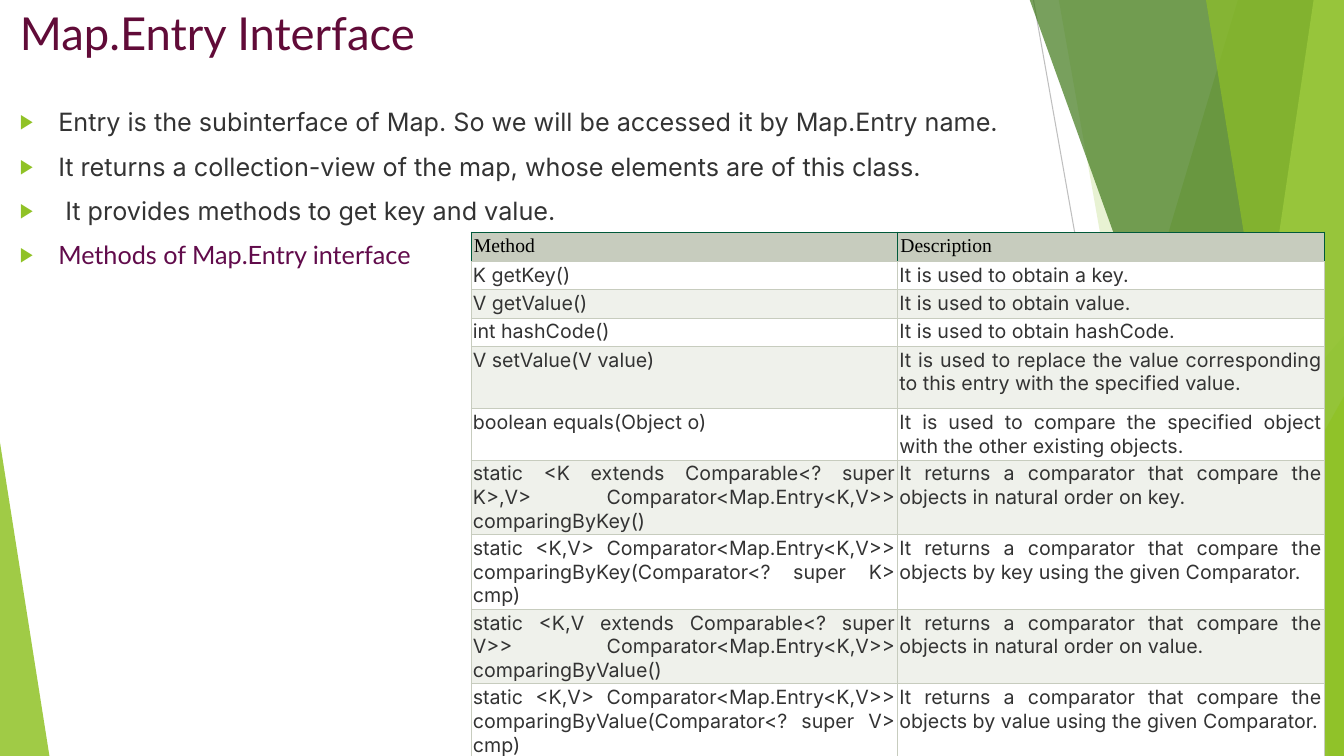
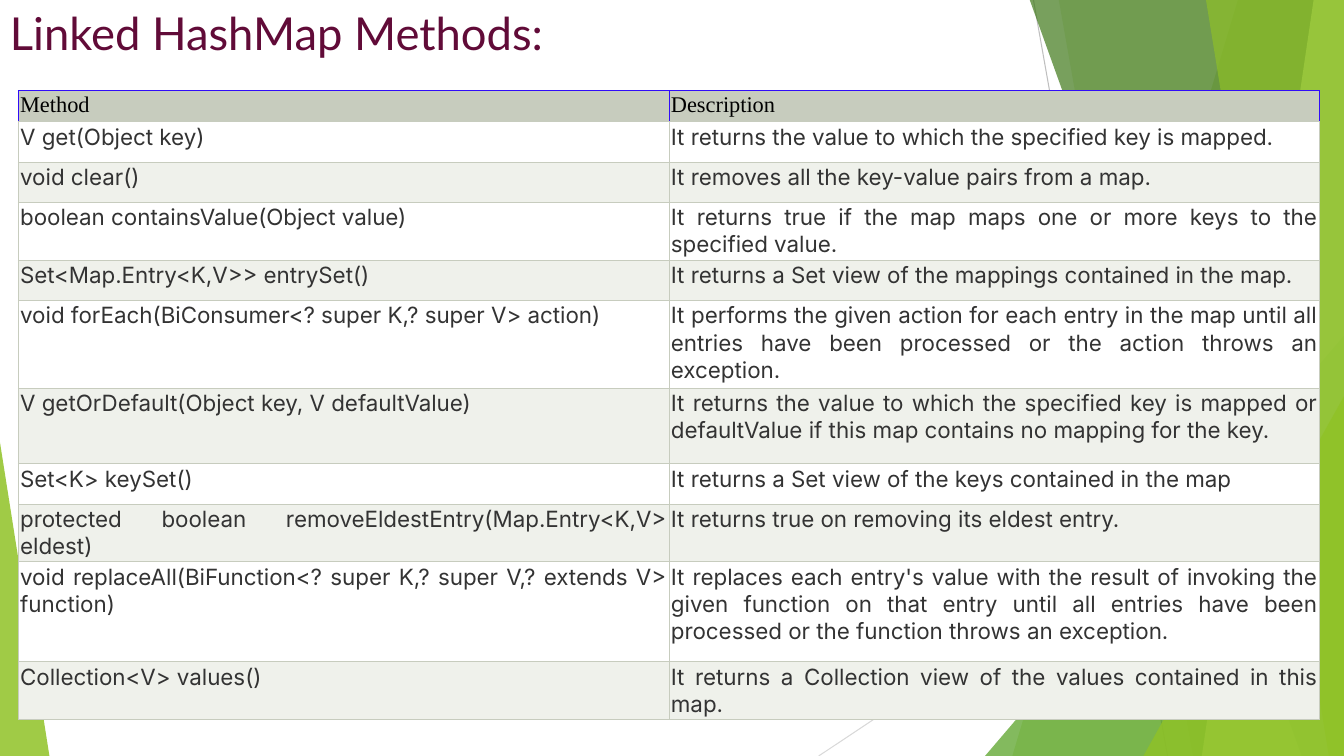
from lxml import etree
from pptx import Presentation
from pptx import util as u
from pptx.dml.color import RGBColor
from pptx.enum import shapes, text
from pptx.oxml import ns

PX = 9144
WIDTH, HEIGHT = 1333, 750
COLORS = {
    "title": "610B38", "subtitle": "610B4B", "body": "333333", "header_text": "000000",
    "header": "C7CCBE", "white": "FFFFFF", "band": "EFF1EB",
    "header_green": "00593A", "header_blue": "300CF9",
    "line_dark": "BFBFBF", "line_light": "D9D9D9",
    "lime": "90C226", "green": "54A021", "forest": "3F7819", "pale": "C0E474",
}
FONTS = {"title": "Lato", "body": "Inter", "header": "Times New Roman"}

RAYS = [
    ((1025, 0), (1158, 750), "line_dark"),
    ((1333, 403), (812, 750), "line_light"),
]
FACETS = [
    ("band", (1228, 1004), "lime", 30),
    ("band", (1050, 1183), "lime", 20),
    ("triangle", (977, 333, 356, 417, 1), "green", 72),
    ("band", (1021, 1291), "forest", 70),
    ("band", (1303, 1192), "pale", 70),
    ("band", (1196, 1318), "lime", 65),
    ("triangle", (1134, 393, 199, 357, 1), "lime", 80),
    ("triangle", (0, 439, 49, 311, 0), "lime", 85),
]

ENTRY_BULLETS = [
    ("Entry is the subinterface of Map. So we will be accessed it by Map.Entry name.", "body", "body"),
    ("It returns a collection-view of the map, whose elements are of this class.", "body", "body"),
    (" It provides methods to get key and value.", "body", "body"),
    ("Methods of Map.Entry interface", "title", "subtitle"),
]
ENTRY_METHODS = [
    (27, "Method", "Description"),
    (28, "K getKey()", "It is used to obtain a key."),
    (28, "V getValue()", "It is used to obtain value."),
    (28, "int hashCode()", "It is used to obtain hashCode."),
    (62, "V setValue(V value)",
     "It is used to replace the value corresponding to this entry with the specified value."),
    (51, "boolean equals(Object o)",
     "It is used to compare the specified object with the other existing objects."),
    (74, "static <K extends Comparable<? super K>,V> Comparator<Map.Entry<K,V>> comparingByKey()",
     "It returns a comparator that compare the objects in natural order on key."),
    (74, "static <K,V> Comparator<Map.Entry<K,V>> comparingByKey(Comparator<? super K> cmp)",
     "It returns a comparator that compare the objects by key using the given Comparator."),
    (74, "static <K,V extends Comparable<? super V>> Comparator<Map.Entry<K,V>> comparingByValue()",
     "It returns a comparator that compare the objects in natural order on value."),
    (74, "static <K,V> Comparator<Map.Entry<K,V>> comparingByValue(Comparator<? super V> cmp)",
     "It returns a comparator that compare the objects by value using the given Comparator."),
]
LINKED_METHODS = [
    (30, "Method", "Description"),
    (40, "V get(Object key)", "It returns the value to which the specified key is mapped."),
    (40, "void clear()", "It removes all the key-value pairs from a map."),
    (57, "boolean containsValue(Object value)",
     "It returns true if the map maps one or more keys to the specified value."),
    (40, "Set<Map.Entry<K,V>> entrySet()",
     "It returns a Set view of the mappings contained in the map."),
    (87, "void forEach(BiConsumer<? super K,? super V> action)",
     "It performs the given action for each entry in the map until all entries have been "
     "processed or the action throws an exception."),
    (75, "V getOrDefault(Object key, V defaultValue)",
     "It returns the value to which the specified key is mapped or defaultValue if this map "
     "contains no mapping for the key."),
    (40, "Set<K> keySet()", "It returns a Set view of the keys contained in the map"),
    (57, "protected boolean removeEldestEntry(Map.Entry<K,V> eldest)",
     "It returns true on removing its eldest entry."),
    (99, "void replaceAll(BiFunction<? super K,? super V,? extends V> function)",
     "It replaces each entry's value with the result of invoking the given function on that "
     "entry until all entries have been processed or the function throws an exception."),
    (57, "Collection<V> values()",
     "It returns a Collection view of the values contained in this map."),
]


def px(*lengths):
    return [length * PX for length in lengths]


def add_xml(parent, tag, **attributes):
    element = etree.SubElement(parent, ns.qn(tag))
    for name, value in attributes.items():
        element.set(name, str(value))
    return element


def paint(fill, color, opacity=100):
    fill.solid()
    fill.fore_color.rgb = RGBColor.from_string(COLORS[color])
    if opacity < 100:
        solid = fill._xPr.find(ns.qn("a:solidFill"))
        add_xml(solid[0], "a:alpha", val=opacity * 1000)


def add_run(paragraph, words, font, size, color):
    run = paragraph.add_run()
    run.text = words
    run.font.name = FONTS[font]
    run.font.size = u.Pt(size)
    run.font.color.rgb = RGBColor.from_string(COLORS[color])


def add_text_frame(slide, box):
    frame = slide.shapes.add_textbox(*px(*box)).text_frame
    frame.word_wrap = True
    frame.margin_left = frame.margin_right = 10 * PX
    frame.margin_top = frame.margin_bottom = 5 * PX
    return frame


def add_backdrop(slide):
    for start, end, color in RAYS:
        ray = slide.shapes.add_connector(shapes.MSO_CONNECTOR.STRAIGHT, *px(*start, *end))
        ray.line.color.rgb = RGBColor.from_string(COLORS[color])
        ray.line.width = u.Pt(0.75)
        add_xml(ray._element.spPr, "a:effectLst")
    for kind, geometry, color, opacity in FACETS:
        if kind == "band":
            top_x, bottom_x = geometry
            builder = slide.shapes.build_freeform(top_x, -1, scale=PX)
            builder.add_line_segments([(WIDTH, -1), (WIDTH, HEIGHT), (bottom_x, HEIGHT)])
            shape = builder.convert_to_shape()
        else:
            *box, apex = geometry
            shape = slide.shapes.add_shape(shapes.MSO_SHAPE.ISOSCELES_TRIANGLE, *px(*box))
            shape.adjustments[0] = apex
        shape.shadow.inherit = False
        shape.line.fill.background()
        paint(shape.fill, color, opacity)


def add_title(slide, box, words):
    frame = add_text_frame(slide, box)
    add_run(frame.paragraphs[0], words, "title", 32.4, "title")


def add_bullets(slide, box, bullets):
    frame = add_text_frame(slide, box)
    for index, (words, font, color) in enumerate(bullets):
        paragraph = frame.add_paragraph() if index else frame.paragraphs[0]
        paragraph.space_after = u.Pt(10)
        properties = paragraph._p.get_or_add_pPr()
        properties.set("marL", str(38 * PX))
        properties.set("indent", str(-38 * PX))
        add_xml(add_xml(properties, "a:buClr"), "a:srgbClr", val=COLORS["lime"])
        add_xml(properties, "a:buSzPct", val=80000)
        add_xml(properties, "a:buFont", typeface="Arial")
        add_xml(properties, "a:buChar", char="▶")
        add_run(paragraph, words, font, 18, color)


def add_borders(cell, sides):
    properties = cell._tc.get_or_add_tcPr()
    for side, color in sides.items():
        border = add_xml(properties, f"a:ln{side}", w=u.Pt(0.5))
        add_xml(add_xml(border, "a:solidFill"), "a:srgbClr", val=COLORS[color])


def add_method_table(slide, box, rows, size, header_border, header_inset):
    left, top, width = box
    heights = [row[0] for row in rows]
    frame = slide.shapes.add_table(len(rows), 2, *px(left, top, width, sum(heights)))
    table = frame.table
    table.first_row = table.horz_banding = False
    for column in table.columns:
        column.width = width * PX // 2
    for index, (height, *words) in enumerate(rows):
        is_header = index == 0
        table.rows[index].height = height * PX
        edge = header_border if is_header else "header"
        inset = (header_inset if is_header else 2) * PX
        for cell, cell_words in zip(table.rows[index].cells, words):
            add_borders(cell, {"L": edge, "R": edge, "T": edge, "B": "header"})
            paint(cell.fill, "header" if is_header else "white" if index % 2 else "band")
            cell.margin_left = cell.margin_right = inset
            cell.margin_top = cell.margin_bottom = inset
            paragraph = cell.text_frame.paragraphs[0]
            if is_header:
                add_run(paragraph, cell_words, "header", size, "header_text")
            else:
                paragraph.alignment = text.PP_ALIGN.JUSTIFY
                add_run(paragraph, cell_words, "body", size, "body")


def add_base_slide(presentation, title_box, title):
    slide = presentation.slides.add_slide(presentation.slide_layouts[6])
    add_backdrop(slide)
    add_title(slide, title_box, title)
    return slide


def main():
    presentation = Presentation()
    presentation.slide_width, presentation.slide_height = px(WIDTH, HEIGHT)

    slide = add_base_slide(presentation, (10, 0, 1004, 56), "Map.Entry Interface")
    add_bullets(slide, (10, 101, 1323, 200), ENTRY_BULLETS)
    add_method_table(slide, (467, 230, 846), ENTRY_METHODS, 14, "header_green", 3)

    slide = add_base_slide(presentation, (0, 0, 1333, 79), "Linked HashMap Methods:")
    add_method_table(slide, (18, 90, 1291), LINKED_METHODS, 16, "header_blue", 2)

    presentation.save("out.pptx")


if __name__ == "__main__":
    main()
